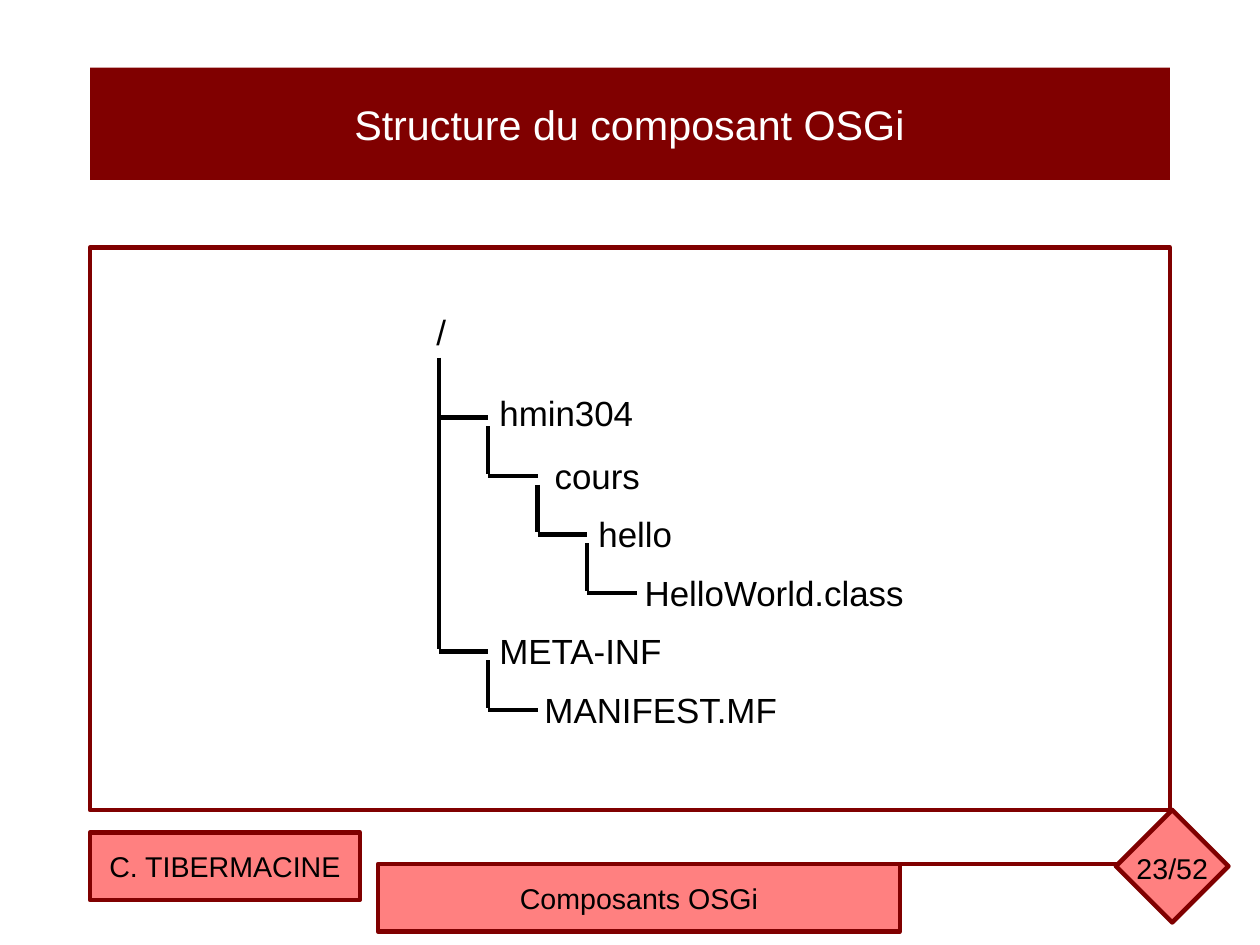
from lxml import etree
from pptx import Presentation
from pptx import util as u
from pptx.dml.color import RGBColor
from pptx.enum import shapes, text
from pptx.oxml.ns import qn

PX = 9000
MAROON, PINK, WHITE, BLACK = "800000", "FF8080", "FFFFFF", "000000"
NODES = [
    ("hmin304", 1, None, 142, 0, -4),
    ("cours", 2, 0, 100, 5, 0),
    ("hello", 3, 1, 90, 0, 0),
    ("HelloWorld.class", 4, 2, 255, -3, 0),
    ("META-INF", 1, None, 168, 0, 0),
    ("MANIFEST.MF", 2, 4, 231, -4, 0),
]


def px(*values):
    return [u.Emu(v * PX) for v in values]


def rgb(value):
    return RGBColor.from_string(value)


def set_line(sp, color):
    sp.line.color.rgb = rgb(color)
    sp.line.width = u.Pt(2.83)
    etree.SubElement(sp.line._get_or_add_ln(), qn("a:round"))


def set_text(sp, label, size, color=BLACK, align=text.PP_ALIGN.CENTER, **frame):
    tf = sp.text_frame
    for key, value in frame.items():
        setattr(tf, key, value)
    p = tf.paragraphs[0]
    p.alignment = align
    r = p.add_run()
    r.text = label
    r.font.color.rgb = rgb(color)
    for key, value in {"name": "Arial", "size": u.Pt(size), "bold": False}.items():
        setattr(r.font, key, value)


def add_line(s, x1, y1, x2, y2, color=BLACK):
    sp = s.shapes.add_connector(shapes.MSO_CONNECTOR.STRAIGHT, *px(x1, y1, x2, y2))
    set_line(sp, color)
    etree.SubElement(sp._element.spPr, qn("a:effectLst"))


def add_block(s, box, fill, kind=shapes.MSO_SHAPE.RECTANGLE):
    sp = s.shapes.add_shape(kind, *px(*box))
    sp.shadow.inherit = False
    sp.fill.solid()
    sp.fill.fore_color.rgb = rgb(fill)
    set_line(sp, MAROON)
    return sp


def add_label(s, box, label, size, align, wrap):
    sp = s.shapes.add_textbox(*px(*box))
    set_text(sp, label, size, align=align, word_wrap=wrap,
             auto_size=text.MSO_AUTO_SIZE.SHAPE_TO_FIT_TEXT)


def add_title(s, box, label):
    sp = s.shapes.title
    for key, value in zip(("left", "top", "width", "height"), px(*box)):
        setattr(sp, key, value)
    sp.fill.solid()
    sp.fill.fore_color.rgb = rgb(MAROON)
    set_text(sp, label, 26, WHITE, vertical_anchor=text.MSO_ANCHOR.MIDDLE,
             word_wrap=True, auto_size=text.MSO_AUTO_SIZE.NONE)


def add_tree(s, box):
    left, top = box[:2]
    add_block(s, box, WHITE)
    root_x, root_y = left + 310, top + 90
    cols = [root_x + 44 * depth for depth in range(5)]
    rows = [root_y + 61 + 52 * i for i in range(len(NODES))]
    add_label(s, (root_x - 12, root_y - 39, 32, 45), "/", 22, text.PP_ALIGN.LEFT, False)
    for y, (label, depth, parent, width, dx, dy) in zip(rows, NODES):
        start = root_y if parent is None else rows[parent]
        stem, end = cols[depth - 1], cols[depth]
        add_line(s, stem, start + 8, stem, y - 2)
        add_line(s, stem, y, end, y)
        add_label(s, (end + dx, y - 24 + dy, width, 45), label, 22,
                  text.PP_ALIGN.LEFT, False)


def add_footer(s, box):
    left, top, width, height = box
    right, middle = left + width, top + 48
    add_line(s, right - 92, middle, right - 352, middle, MAROON)
    plates = [("C. TIBERMACINE", (left, top + 20, 240, 60)),
              ("Composants OSGi", (left + 256, middle, 464, 60))]
    for label, plate in plates:
        set_text(add_block(s, plate, PINK), label, 18, word_wrap=True,
                 vertical_anchor=text.MSO_ANCHOR.MIDDLE)
    add_block(s, (right - 100, top, 100, 100), PINK, shapes.MSO_SHAPE.DIAMOND)
    add_label(s, (right - 94, top + 31, 88, 67), "23/52", 18,
              text.PP_ALIGN.CENTER, True)


def main():
    prs = Presentation()
    prs.slide_width, prs.slide_height = px(1120, 840)
    s = prs.slides.add_slide(prs.slide_layouts[5])
    add_title(s, (80, 60, 960, 100), "Structure du composant OSGi")
    add_tree(s, (80, 220, 960, 500))
    add_footer(s, (80, 720, 1012, 108))
    prs.save("out.pptx")


if __name__ == "__main__":
    main()
